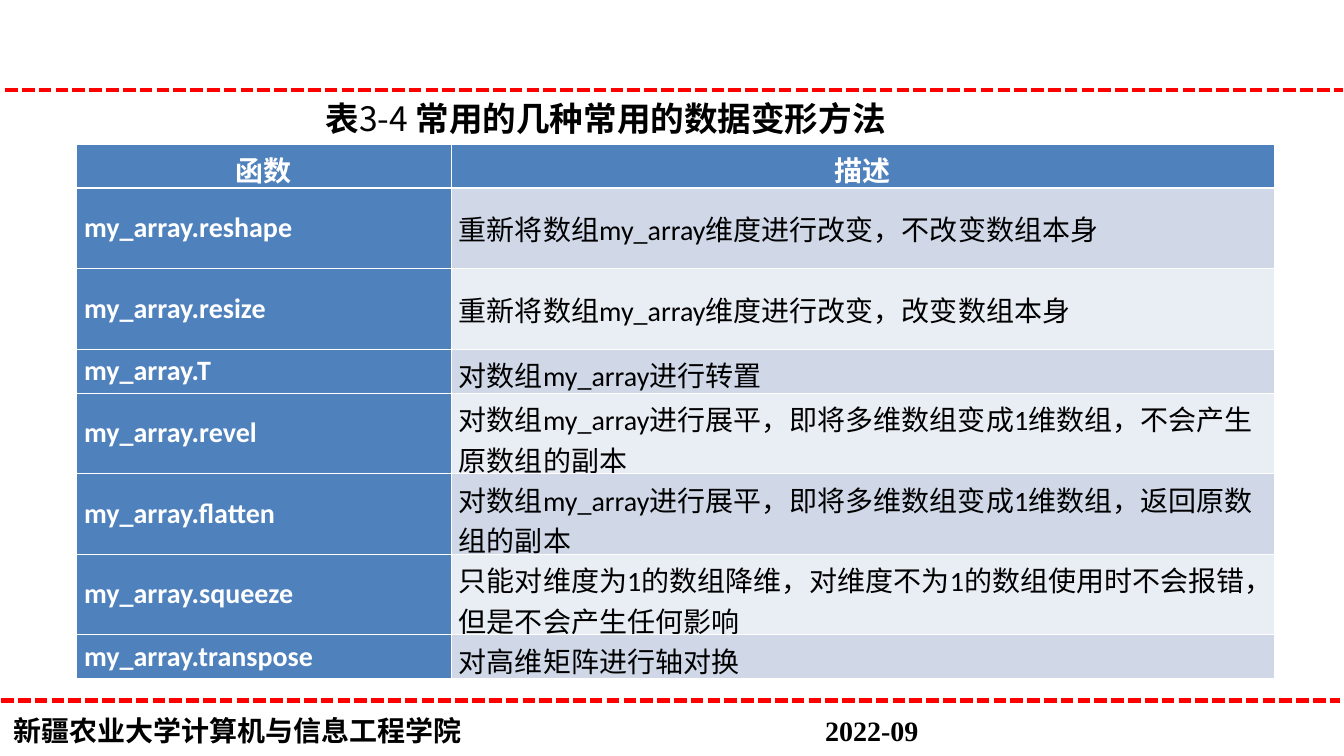
from dataclasses import dataclass
from itertools import groupby
from typing import Any

from lxml.etree import SubElement
from pptx import Presentation
from pptx.dml.color import RGBColor
from pptx.enum.dml import MSO_LINE
from pptx.enum.shapes import MSO_CONNECTOR
from pptx.enum.text import MSO_ANCHOR, MSO_AUTO_SIZE, PP_ALIGN
from pptx.oxml.ns import qn
from pptx.util import Cm, Pt


@dataclass(frozen=True)
class Theme:
    rule: RGBColor = RGBColor(0xFF, 0x00, 0x00)
    ink: RGBColor = RGBColor(0x00, 0x00, 0x00)
    white: RGBColor = RGBColor(0xFF, 0xFF, 0xFF)
    accent: RGBColor = RGBColor(0x4F, 0x81, 0xBD)
    bands: tuple[RGBColor, RGBColor] = (RGBColor(0xD0, 0xD8, 0xE8), RGBColor(0xE9, 0xED, 0xF4))
    cjk: str = "Noto Sans CJK SC"
    latin: str = "Calibri"
    footer: str = "Times New Roman"
    title_size: Pt = Pt(24)
    text_size: Pt = Pt(20)
    rule_width: Pt = Pt(3)
    border: Pt = Pt(0.45)
    header_border: Pt = Pt(1.47)


@dataclass(frozen=True)
class Rule:
    left: float
    right: float
    y: float


@dataclass(frozen=True)
class Method:
    name: str
    description: str
    height: float


THEME = Theme()
SHORT, TALL = 1.02, 2.03
RULES = (Rule(0.03, 33.78, 17.65), Rule(0.13, 33.86, 2.26))
HEADER = Method("函数", "描述", SHORT)
METHODS = (
    Method("my_array.reshape", "重新将数组my_array维度进行改变，不改变数组本身", TALL),
    Method("my_array.resize", "重新将数组my_array维度进行改变，改变数组本身", TALL),
    Method("my_array.T", "对数组my_array进行转置", SHORT),
    Method("my_array.revel", "对数组my_array进行展平，即将多维数组变成1维数组，不会产生原数组的副本", TALL),
    Method("my_array.flatten", "对数组my_array进行展平，即将多维数组变成1维数组，返回原数组的副本", TALL),
    Method("my_array.squeeze", "只能对维度为1的数组降维，对维度不为1的数组使用时不会报错，但是不会产生任何影响", TALL),
    Method("my_array.transpose", "对高维矩阵进行轴对换", SHORT),
)


def apply(target: Any, values: dict[str, Any]) -> None:
    for attribute, value in values.items():
        setattr(target, attribute, value)


def add_run(paragraph: Any, text: str, color: RGBColor, **values: Any) -> None:
    run = paragraph.add_run()
    run.text = text
    run.font.color.rgb = color
    apply(run.font, values)
    SubElement(run.font._element, qn("a:ea"), typeface=THEME.cjk)


def script_runs(text: str) -> list[tuple[bool, str]]:
    return [(ascii_run, "".join(part)) for ascii_run, part in groupby(text, str.isascii)]


def add_rule(slide: Any, rule: Rule) -> None:
    dashes = slide.shapes.add_connector(
        MSO_CONNECTOR.STRAIGHT, Cm(rule.left), Cm(rule.y), Cm(rule.right), Cm(rule.y))
    dashes.line.color.rgb = THEME.rule
    apply(dashes.line, {"width": THEME.rule_width, "dash_style": MSO_LINE.SQUARE_DOT})
    SubElement(dashes._element.spPr, qn("a:effectLst"))


def add_footer(slide: Any, school: str, date: str) -> None:
    footer = slide.shapes.add_textbox(Cm(0.08), Cm(17.86), Cm(33.68), Cm(1.12))
    footer.text_frame.word_wrap = True
    paragraph = footer.text_frame.paragraphs[0]
    tabs = SubElement(paragraph._p.get_or_add_pPr(), qn("a:tabLst"))
    SubElement(tabs, qn("a:tab"), pos=str(Cm(20.47)), algn="l")
    add_run(paragraph, f"{school}\t{date}", THEME.ink,
            size=THEME.text_size, name=THEME.footer, bold=True)


def fill_title(slide: Any, text: str) -> None:
    title = slide.shapes.title
    apply(title, {"left": Cm(7.95), "top": Cm(2.34), "width": Cm(15.06), "height": Cm(1.27)})
    apply(title.text_frame, {"word_wrap": False, "vertical_anchor": MSO_ANCHOR.MIDDLE,
                             "auto_size": MSO_AUTO_SIZE.SHAPE_TO_FIT_TEXT})
    paragraph = title.text_frame.paragraphs[0]
    paragraph.alignment = PP_ALIGN.LEFT
    for is_ascii, part in script_runs(text):
        add_run(paragraph, part, THEME.ink,
                size=THEME.title_size, name=THEME.cjk, bold=not is_ascii)


def add_borders(cell: Any, top: Pt, bottom: Pt) -> None:
    widths = {"lnL": THEME.border, "lnR": THEME.border, "lnT": top, "lnB": bottom}
    for side, width in widths.items():
        edge = SubElement(cell._tc.get_or_add_tcPr(), qn(f"a:{side}"), w=str(width))
        SubElement(SubElement(edge, qn("a:solidFill")), qn("a:srgbClr"), val=str(THEME.white))


def fill_cell(cell: Any, text: str, row: int, column: int) -> None:
    strong = row == 0 or column == 0
    add_borders(cell,
                THEME.header_border if row == 1 else THEME.border,
                THEME.header_border if row == 0 else THEME.border)
    cell.fill.solid()
    cell.fill.fore_color.rgb = THEME.accent if strong else THEME.bands[(row - 1) % 2]
    apply(cell, {"vertical_anchor": MSO_ANCHOR.MIDDLE, "margin_left": Cm(0.19),
                 "margin_right": Cm(0.19), "margin_top": Cm(0.13), "margin_bottom": Cm(0.13)})
    paragraph = cell.text_frame.paragraphs[0]
    paragraph.alignment = PP_ALIGN.CENTER if row == 0 else PP_ALIGN.LEFT
    for is_ascii, part in script_runs(text):
        add_run(paragraph, part, THEME.white if strong else THEME.ink, size=THEME.text_size,
                name=THEME.latin if is_ascii else THEME.cjk, bold=strong)


def add_methods(slide: Any, methods: tuple[Method, ...]) -> None:
    widths = (9.45, 20.75)
    total = sum(method.height for method in methods)
    table = slide.shapes.add_table(len(methods), len(widths), Cm(1.93), Cm(3.63),
                                   Cm(sum(widths)), Cm(total)).table
    for column, width in enumerate(widths):
        table.columns[column].width = Cm(width)
    for row, method in enumerate(methods):
        table.rows[row].height = Cm(method.height)
        for column, text in enumerate((method.name, method.description)):
            fill_cell(table.cell(row, column), text, row, column)


def main() -> None:
    presentation = Presentation()
    apply(presentation, {"slide_width": Cm(33.88), "slide_height": Cm(19.05)})
    slide = presentation.slides.add_slide(presentation.slide_layouts[5])
    for rule in RULES:
        add_rule(slide, rule)
    add_footer(slide, "新疆农业大学计算机与信息工程学院", "2022-09")
    add_methods(slide, (HEADER, *METHODS))
    fill_title(slide, "表3-4 常用的几种常用的数据变形方法")
    presentation.save("out.pptx")


if __name__ == "__main__":
    main()
